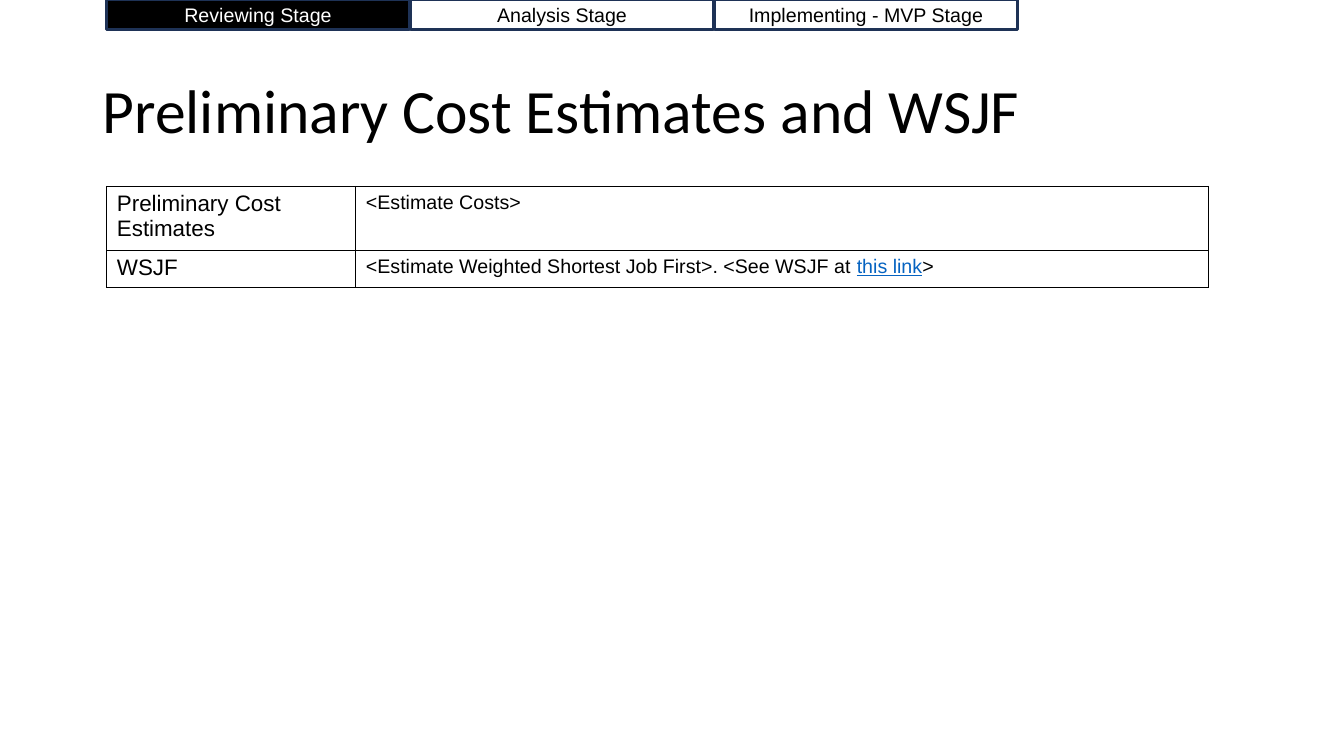
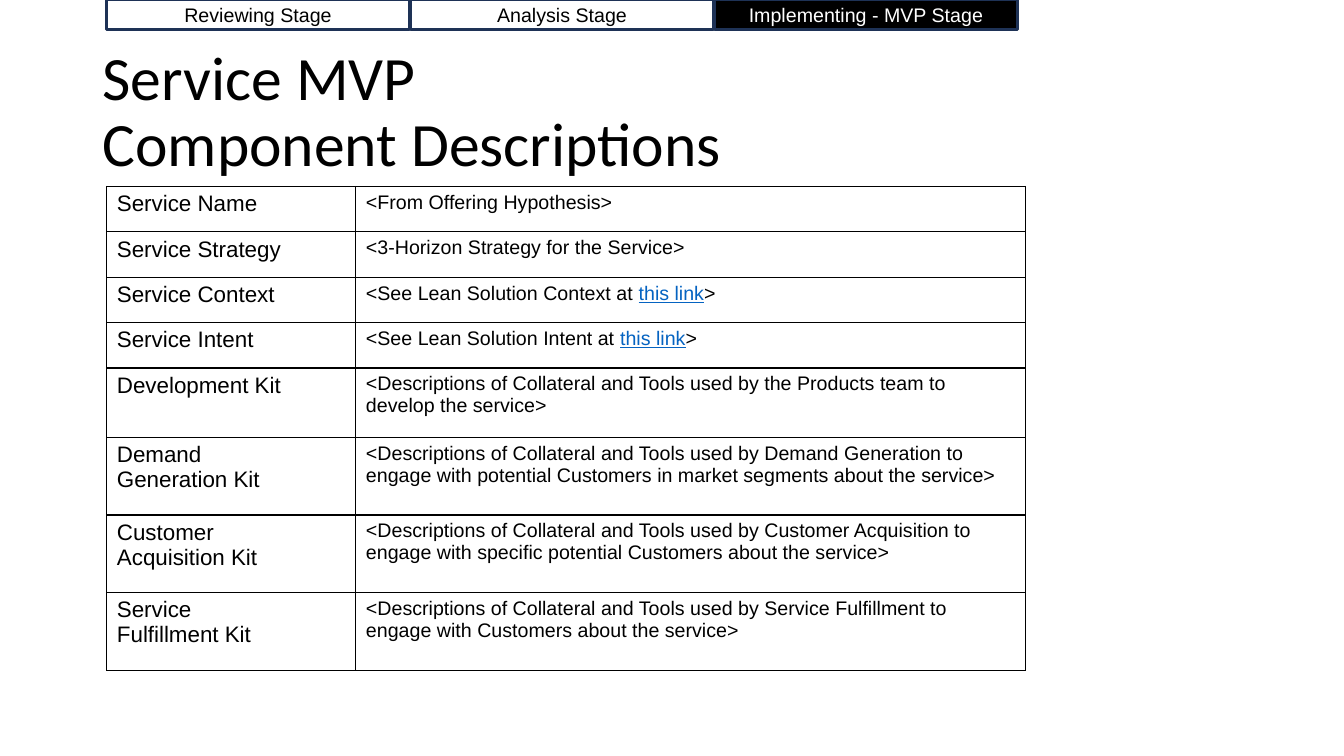
from dataclasses import dataclass

from lxml import etree
from pptx import Presentation
from pptx import util as u
from pptx.dml.color import RGBColor
from pptx.enum import shapes, text
from pptx.oxml.ns import qn


@dataclass(frozen=True)
class Theme:
    ink: str = "000000"
    paper: str = "FFFFFF"
    tab_line: str = "1E3256"
    link: str = "0563C1"
    title_font: str = "Calibri"
    body_font: str = "Arial"
    title_size: int = 44
    label_size: int = 16
    body_size: int = 14


THEME = Theme()

# Content
STAGES = ["Reviewing Stage", "Analysis Stage", "Implementing - MVP Stage"]
LINK = "this link"
KIT = "<Descriptions of Collateral and Tools used by "
SLIDES = [
    {
        "title": "Preliminary Cost Estimates and WSJF",
        "stage": 0,
        "columns": (2.47, 8.46),
        "rows": [  # label, description, row height
            ("Preliminary Cost Estimates", "<Estimate Costs>", 0.6),
            ("WSJF", "<Estimate Weighted Shortest Job First>. <See WSJF at this link>", 0.35),
        ],
    },
    {
        "title": "Service MVP\vComponent Descriptions",
        "stage": 2,
        "columns": (2.47, 6.64),
        "rows": [
            ("Service Name", "<From Offering Hypothesis>", 0.45),
            ("Service Strategy", "<3-Horizon Strategy for the Service>", 0.45),
            ("Service Context", "<See Lean Solution Context at this link>", 0.45),
            ("Service Intent", "<See Lean Solution Intent at this link>", 0.45),
            ("Development Kit", KIT + "the Products team to develop the service>", 0.69),
            ("Demand\vGeneration Kit", KIT + "Demand Generation to engage with potential "
             "Customers in market segments about the service>", 0.77),
            ("Customer\vAcquisition Kit", KIT + "Customer Acquisition to engage with specific "
             "potential Customers about the service>", 0.77),
            ("Service\vFulfillment Kit", KIT + "Service Fulfillment to engage with Customers "
             "about the service>", 0.77),
        ],
    },
]

# Layout in inches
LEFT = 1.06
TAB_W, TAB_H, TAB_GAP = 3, 0.29, 0.015
TABLE_TOP = 1.85


def rgb(value):
    return RGBColor.from_string(value)


def style(p, size, font=THEME.body_font, color=THEME.ink):
    for r in p.runs:
        r.font.size = u.Pt(size)
        r.font.name = font
        r.font.color.rgb = rgb(color)


def add_title(s, title):
    box = s.shapes.add_textbox(u.Inches(0.92), u.Inches(0.4), u.Inches(9.79), u.Inches(1.45))
    tf = box.text_frame
    tf.word_wrap = True
    tf.vertical_anchor = text.MSO_ANCHOR.MIDDLE
    tf.text = title
    p = tf.paragraphs[0]
    p.line_spacing = 0.9
    style(p, THEME.title_size, THEME.title_font)


def add_stage_tabs(s, active):
    for i, stage in enumerate(STAGES):
        x = LEFT + i * (TAB_W + TAB_GAP)
        sp = s.shapes.add_shape(shapes.MSO_SHAPE.RECTANGLE, u.Inches(x), 0,
                                u.Inches(TAB_W), u.Inches(TAB_H))
        sp.shadow.inherit = False
        fill, color = (THEME.ink, THEME.paper) if i == active else (THEME.paper, THEME.ink)
        sp.fill.solid()
        sp.fill.fore_color.rgb = rgb(fill)
        sp.line.color.rgb = rgb(THEME.tab_line)
        sp.line.width = u.Pt(2)
        tf = sp.text_frame
        tf.vertical_anchor = text.MSO_ANCHOR.MIDDLE
        tf.text = stage
        p = tf.paragraphs[0]
        p.alignment = text.PP_ALIGN.CENTER
        style(p, THEME.body_size, color=color)


def frame_cell(cell):
    tcPr = cell._tc.get_or_add_tcPr()
    for side in ("a:lnL", "a:lnR", "a:lnT", "a:lnB"):
        ln = etree.SubElement(tcPr, qn(side), w=str(u.Pt(1)))
        fill = etree.SubElement(ln, qn("a:solidFill"))
        etree.SubElement(fill, qn("a:srgbClr"), val=THEME.ink)
    cell.fill.background()


def write_description(p, description):
    before, link, after = description.partition(LINK)
    for part in filter(None, (before, link, after)):
        p.add_run().text = part
    style(p, THEME.body_size)
    if link:
        p.runs[1].font.underline = True
        p.runs[1].font.color.rgb = rgb(THEME.link)


def add_description_table(s, columns, rows):
    frame = s.shapes.add_table(len(rows), len(columns), u.Inches(LEFT), u.Inches(TABLE_TOP),
                               u.Inches(sum(columns)), u.Inches(sum(row[2] for row in rows)))
    table = frame.table
    table.first_row = table.horz_banding = False
    for column, width in zip(table.columns, columns):
        column.width = u.Inches(width)
    for i, (label, description, height) in enumerate(rows):
        table.rows[i].height = u.Inches(height)
        label_cell, description_cell = table.cell(i, 0), table.cell(i, 1)
        label_cell.text_frame.text = label
        style(label_cell.text_frame.paragraphs[0], THEME.label_size)
        write_description(description_cell.text_frame.paragraphs[0], description)
        frame_cell(label_cell)
        frame_cell(description_cell)


def main():
    prs = Presentation()
    prs.slide_width, prs.slide_height = u.Inches(13.33), u.Inches(7.5)
    for content in SLIDES:
        s = prs.slides.add_slide(prs.slide_layouts[6])
        add_title(s, content["title"])
        add_stage_tabs(s, content["stage"])
        add_description_table(s, content["columns"], content["rows"])
    prs.save("out.pptx")


if __name__ == "__main__":
    main()
